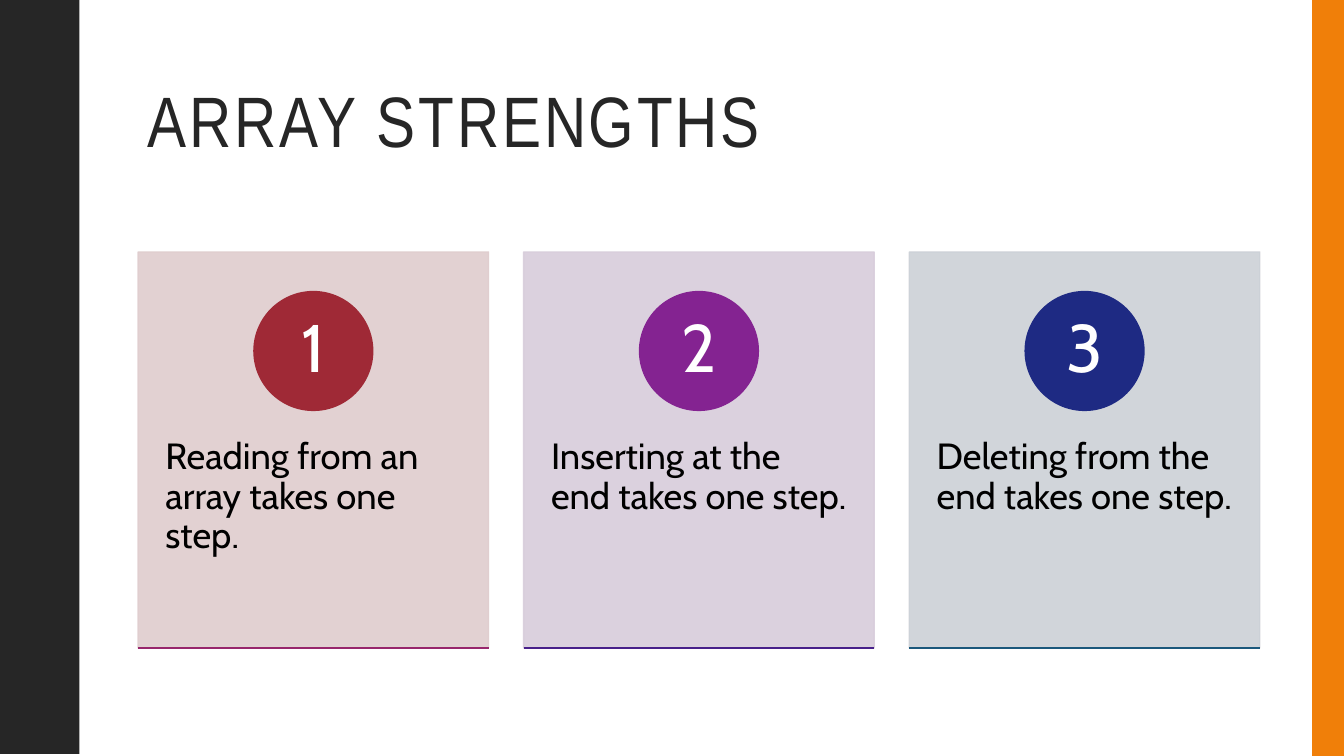
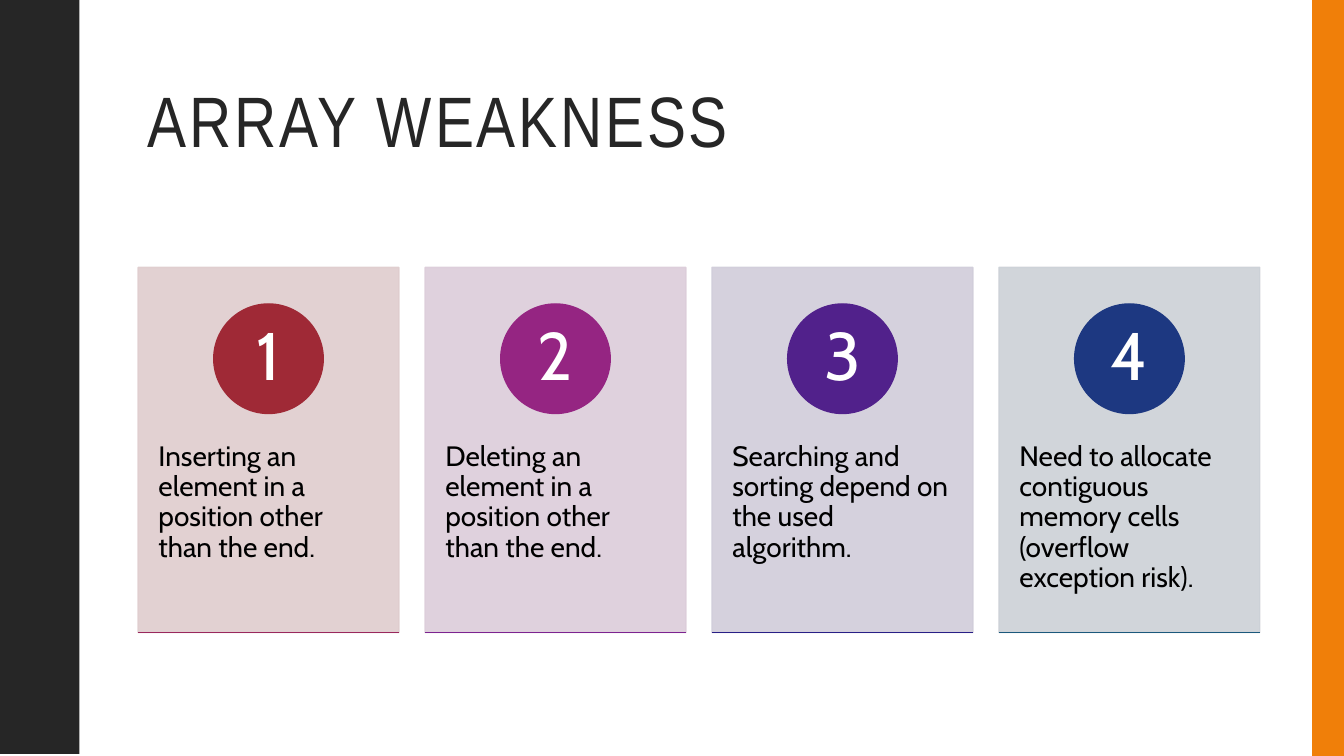
from dataclasses import dataclass

from lxml import etree
from pptx import Presentation
from pptx.dml.color import RGBColor
from pptx.enum.shapes import MSO_CONNECTOR, MSO_SHAPE
from pptx.enum.text import MSO_ANCHOR, PP_ALIGN
from pptx.oxml.ns import qn
from pptx.util import Cm, Pt

RECT, OVAL = MSO_SHAPE.RECTANGLE, MSO_SHAPE.OVAL
LINE = MSO_CONNECTOR.STRAIGHT
TOP, MID = MSO_ANCHOR.TOP, MSO_ANCHOR.MIDDLE
LEFT, CENTER = PP_ALIGN.LEFT, PP_ALIGN.CENTER


@dataclass(frozen=True)
class Theme:
    dark: str = "262626"
    band: str = "F07F09"
    ink: str = "000000"
    white: str = "FFFFFF"
    head: str = "Arial Narrow"
    body: str = "Cabin"
    title: int = 51
    digit: int = 48
    alpha: int = 90


THEME = Theme()

SLIDES = [
    {
        "title": "ARRAY STRENGTHS",
        "size": 26,
        "high": 9.98,
        "cards": [
            ("Reading from an array takes one step.", "DFCDCE", "9F2936", "98266C"),
            ("Inserting at the end takes one step.", "D8CDDB", "842391", "48208A"),
            ("Deleting from the end takes one step.", "CCD1D7", "1E2A83", "1B587C"),
        ],
    },
    {
        "title": "ARRAY WEAKNESS",
        "size": 20,
        "high": 9.2,
        "cards": [
            ("Inserting an element in a position other than the end.",
             "DFCDCE", "9F2936", "9A275D"),
            ("Deleting an element in a position other than the end.",
             "DCCDDA", "952582", "7C2390"),
            ("Searching and sorting depend on the used algorithm.",
             "D1CDDA", "51218B", "281F86"),
            ("Need to allocate contiguous memory cells (overflow exception risk).",
             "CCD1D7", "1D3881", "1B587C"),
        ],
    },
]

WIDE, TALL = 33.87, 19.05
EDGE, SPAN = 3.48, 28.27
AXIS = 11.34
GAP = 0.1
WAVES = 5
HALF = [
    (1.98, 0), (1.98, 0.18), (2.01, 0.36), (2.03, 0.51), (2.06, 0.64),
    (2.11, 0.74), (2.16, 0.84), (2.21, 0.97), (2.26, 1.07), (2.31, 1.17),
    (2.36, 1.27), (2.41, 1.4), (2.44, 1.55), (2.46, 1.73), (2.46, 1.9),
]


def rgb(code):
    return RGBColor.from_string(code)


def write(shape, text, font=THEME.body, size=20, color=THEME.ink,
          align=LEFT, anchor=TOP, pad=(0.25, 0.13), track=0):
    frame = shape.text_frame
    frame.word_wrap = True
    frame.vertical_anchor = anchor
    frame.margin_left = frame.margin_right = Cm(pad[0])
    frame.margin_top = frame.margin_bottom = Cm(pad[1])
    para = frame.paragraphs[0]
    para.alignment = align
    para.line_spacing = 0.9
    run = para.add_run()
    run.text = text
    run.font.name = font
    run.font.size = Pt(size)
    run.font.color.rgb = rgb(color)
    if track:
        run.font._element.set("spc", str(track * 100))


def paint(shape, color, edge=True, alpha=100):
    shape.shadow.inherit = False
    shape.fill.solid()
    shape.fill.fore_color.rgb = rgb(color)
    if edge:
        shape.line.color.rgb = rgb(color)
        shape.line.width = Pt(1)
    else:
        shape.line.fill.background()
    if alpha < 100:
        for node in shape._element.spPr.iter(qn("a:srgbClr")):
            etree.SubElement(node, qn("a:alpha"), val=str(alpha * 1000))
    return shape


def place(slide, kind, x, y, w, h, color, **look):
    shape = slide.shapes.add_shape(kind, Cm(x), Cm(y), Cm(w), Cm(h))
    return paint(shape, color, **look)


def label(slide, x, y, w, h, text, **look):
    write(slide.shapes.add_textbox(Cm(x), Cm(y), Cm(w), Cm(h)), text, **look)


def rule(slide, x, y, w, color):
    line = slide.shapes.add_connector(LINE, Cm(x), Cm(y), Cm(x + w), Cm(y))
    line.line.color.rgb = rgb(color)
    line.line.width = Pt(1)
    etree.SubElement(line._element.spPr, qn("a:effectLst"))


def frame(slide, title):
    step = TALL / WAVES
    wave = HALF + [(x, step - y) for x, y in reversed(HALF)]
    curve = [(x, y + step * i) for i in range(WAVES) for x, y in wave]
    form = slide.shapes.build_freeform(0, 0, scale=Cm(1))
    form.add_line_segments(curve + [(0, TALL)], close=True)
    paint(form.convert_to_shape(), THEME.dark, edge=False)
    place(slide, RECT, WIDE - 0.8, 0, 0.8, TALL, THEME.band, edge=False)
    label(slide, EDGE, 1.07, SPAN, 4.14, title, font=THEME.head,
          size=THEME.title, color=THEME.dark, anchor=MID, track=2)


def card(slide, x, w, h, size, num, data):
    text, back, disc, foot = data
    y = AXIS - h / 2
    dot = 0.3 * h
    place(slide, RECT, x, y, w, h, back, alpha=THEME.alpha)
    label(slide, x, y + 0.38 * h, w, 0.6 * h, text,
          size=size, pad=(0.078 * w, 0.91))
    badge = place(slide, OVAL, x + (w - dot) / 2, y + 0.1 * h, dot, dot, disc)
    write(badge, str(num), size=THEME.digit, color=THEME.white,
          align=CENTER, anchor=MID, pad=(0.2, 0.03))
    rule(slide, x, y + h, w, foot)


def main():
    deck = Presentation()
    deck.slide_width, deck.slide_height = Cm(WIDE), Cm(TALL)
    for page in SLIDES:
        slide = deck.slides.add_slide(deck.slide_layouts[6])
        frame(slide, page["title"])
        count = len(page["cards"])
        wide = SPAN / (count + GAP * (count - 1))
        for i, data in enumerate(page["cards"]):
            left = EDGE + i * wide * (1 + GAP)
            card(slide, left, wide, page["high"], page["size"], i + 1, data)
    deck.save("out.pptx")


if __name__ == "__main__":
    main()
